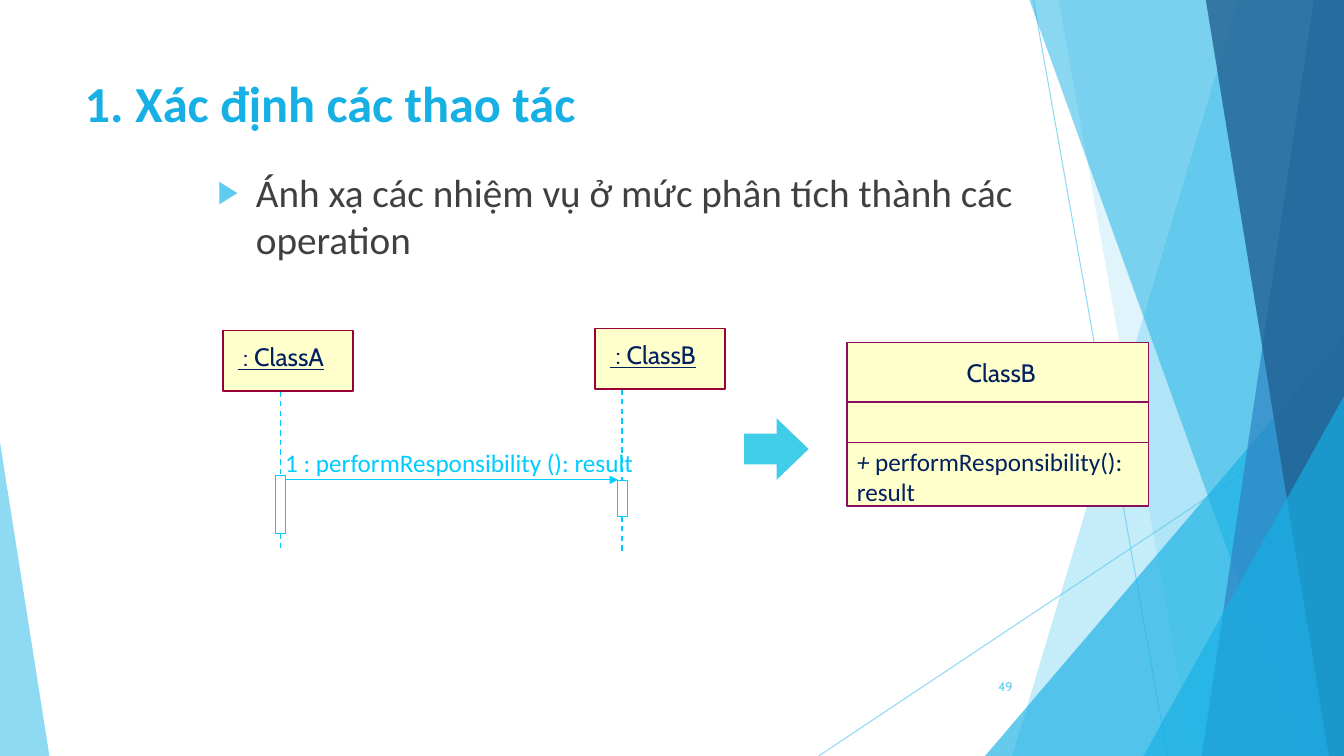
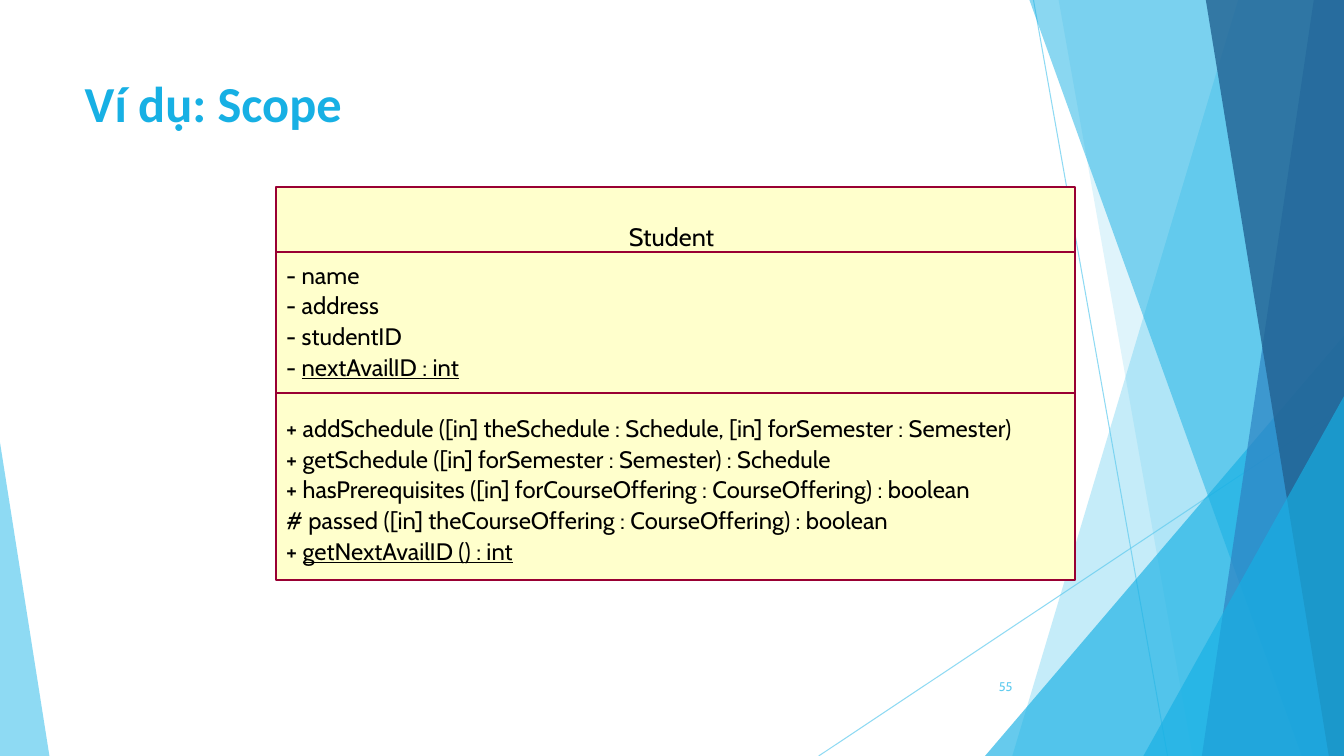
from dataclasses import dataclass, field

from lxml.etree import SubElement
from pptx import Presentation
from pptx.dml.color import RGBColor
from pptx.enum.dml import MSO_LINE
from pptx.enum.shapes import MSO_CONNECTOR, MSO_SHAPE
from pptx.enum.text import MSO_ANCHOR, MSO_AUTO_SIZE, PP_ALIGN
from pptx.oxml.ns import qn
from pptx.util import Inches, Pt

WIDE, HIGH = 13.33, 7.5
SKY, BLUE, CYAN = "5FCBEF", "17B0E4", "00CCFF"
CREAM, WINE, PLUM, NAVY = "FFFFCC", "990033", "8A0E5E", "002060"
HEAD = {"name": "Calibri", "size": Pt(36), "bold": True}
BODY = {"name": "Calibri", "size": Pt(28)}
NOTE = {"name": "Calibri", "size": Pt(18)}
NAME = {"name": "Cabin", "size": Pt(18)}
ITEM = {"name": "Cabin", "size": Pt(17)}
PAGE = {"name": "Cabin", "size": Pt(9)}
UNDER = {"underline": True}
PAD = (0.1, 0.05, 0.1, 0.05)


@dataclass
class Run:
    """A piece of text with its own format values."""
    text: str
    extra: dict = field(default_factory=dict)


@dataclass
class Band:
    """A backdrop area that reaches the right edge."""
    top: float
    base: float
    color: str
    alpha: int


@dataclass
class Wedge:
    """A backdrop triangle standing on the lower edge."""
    left: float
    top: float
    width: float
    tip: float
    color: str
    alpha: int


@dataclass
class Part:
    """One section of a class box."""
    high: float
    rows: list = field(default_factory=list)
    style: dict = field(default_factory=dict)
    form: dict = field(default_factory=dict)


@dataclass
class Life:
    """A sequence object with its lifeline and active bar."""
    name: str
    left: float
    top: float
    axis: float
    start: float
    stop: float
    end: float


BACK = [
    Band(12.28, 10.04, SKY, 36),
    Band(10.5, 11.83, SKY, 20),
    Wedge(9.77, 3.33, 3.56, 1, BLUE, 66),
    Band(10.21, 12.91, BLUE, 50),
    Band(13.03, 11.92, "2E83C3", 70),
    Band(11.96, 13.18, "226292", 80),
    Wedge(11.34, 3.93, 1.99, 1, BLUE, 66),
    Wedge(0, 4.39, 0.49, 0, SKY, 70),
]
RAYS = [(10.25, 0, 11.58, HIGH), (WIDE, 4.03, 8.12, HIGH)]
LIVES = [
    Life(" : ClassA", 2.21, 3.28, 2.78, 4.72, 5.29, 5.47),
    Life(" : ClassB", 5.9, 3.26, 6.17, 4.77, 5.12, 5.48),
]
TARGET = [
    Part(0.59, [[Run("ClassB")]], NAME,
         {"pad": (0.07, 0, 0, 0), "side": PP_ALIGN.CENTER, "hold": MSO_ANCHOR.MIDDLE}),
    Part(0.4),
    Part(0.63, [[Run("+ ", {"italic": True}), Run("performResponsibility(): result")]],
         NOTE, {"pad": (0.1, 0.04, 0.02, 0)}),
]
STUDENT = [
    Part(0.64, [[Run("Student")]], NAME,
         {"pad": (0, 0, 0.08, 0), "side": PP_ALIGN.CENTER, "hold": MSO_ANCHOR.BOTTOM}),
    Part(1.4, [
        [Run("- name")],
        [Run("- address")],
        [Run("- studentID")],
        [Run("- "), Run("nextAvailID : int", UNDER)],
    ], ITEM, {"pad": (0.1, 0.06, 0, 0), "pitch": 22}),
    Part(1.85, [
        [Run("+ addSchedule ([in] theSchedule : Schedule, [in] forSemester : Semester)")],
        [Run("+ getSchedule ([in] forSemester : Semester) : Schedule")],
        [Run("+ hasPrerequisites ([in] forCourseOffering : CourseOffering) : boolean")],
        [Run("# passed ([in] theCourseOffering : CourseOffering) : boolean")],
        [Run("+ "), Run("getNextAvailID () : int", UNDER)],
    ], ITEM, {"pad": (0.1, 0.18, 0, 0), "pitch": 22}),
]


def paint(fill, color: str) -> None:
    """Give a fill one solid colour."""
    fill.solid()
    fill.fore_color.rgb = RGBColor.from_string(color)


def fade(shape, alpha: int) -> None:
    """Make the colours of a shape partly see-through."""
    for tone in shape.element.xpath("./p:spPr//a:srgbClr"):
        SubElement(tone, qn("a:alpha")).set("val", str(alpha * 1000))


def dress(shape, fill: str = "", line: str = "", thick: float = 1) -> None:
    """Set the fill and outline of a shape."""
    shape.shadow.inherit = False
    if fill:
        paint(shape.fill, fill)
    else:
        shape.fill.background()
    if line:
        paint(shape.line.fill, line)
        shape.line.width = Pt(thick)
    else:
        shape.line.fill.background()


def draw(slide, kind, left: float, top: float, width: float, high: float, **look):
    """Add a preset shape."""
    shape = slide.shapes.add_shape(kind, *map(Inches, (left, top, width, high)))
    dress(shape, **look)
    return shape


def link(slide, ends: tuple, color: str, thick: float = 1, dash=None, tip: str = ""):
    """Add a straight line, with an arrowhead if named."""
    wire = slide.shapes.add_connector(MSO_CONNECTOR.STRAIGHT, *map(Inches, ends))
    paint(wire.line.fill, color)
    wire.line.width = Pt(thick)
    if dash:
        wire.line.dash_style = dash
    spot = wire.element.spPr
    if tip:
        SubElement(spot.find(qn("a:ln")), qn("a:tailEnd")).set("type", tip)
    SubElement(spot, qn("a:effectLst"))
    return wire


def mark(para, color: str) -> None:
    """Add a hanging triangle bullet."""
    props = para._p.get_or_add_pPr()
    props.set("marL", str(Inches(0.38)))
    props.set("indent", str(-Inches(0.38)))
    tone = SubElement(props, qn("a:buClr"))
    SubElement(tone, qn("a:srgbClr")).set("val", color)
    SubElement(props, qn("a:buSzPct")).set("val", "80000")
    SubElement(props, qn("a:buFont")).set("typeface", "Arial")
    SubElement(props, qn("a:buChar")).set("char", "▶")


def write(frame, rows: list, style: dict, color: str, pad: tuple = PAD,
          side=PP_ALIGN.LEFT, hold=MSO_ANCHOR.TOP, wrap: bool = True,
          pitch: float = 0, bullet: str = "") -> None:
    """Fill a text frame with formatted rows of runs."""
    sides = ("margin_left", "margin_top", "margin_right", "margin_bottom")
    form = dict(zip(sides, map(Inches, pad)))
    form |= {"vertical_anchor": hold, "auto_size": MSO_AUTO_SIZE.NONE, "word_wrap": wrap}
    for key, value in form.items():
        setattr(frame, key, value)
    for spot, row in enumerate(rows):
        para = frame.add_paragraph() if spot else frame.paragraphs[0]
        para.alignment = side
        if pitch:
            para.line_spacing = Pt(pitch)
        if bullet:
            mark(para, bullet)
        for piece in row:
            run = para.add_run()
            run.text = piece.text
            for key, value in (style | piece.extra).items():
                setattr(run.font, key, value)
            paint(run.font.fill, color)


def label(slide, text: str, area: tuple, style: dict, color: str, **form) -> None:
    """Add a text box with one line of text."""
    box = slide.shapes.add_textbox(*map(Inches, area))
    write(box.text_frame, [[Run(text)]], style, color, **form)


def stack(slide, parts: list, left: float, top: float, width: float,
          line: str, thick: float, color: str) -> None:
    """Draw a class box as parts one below the other."""
    for part in parts:
        box = draw(slide, MSO_SHAPE.RECTANGLE, left, top, width, part.high,
                   fill=CREAM, line=line, thick=thick)
        write(box.text_frame, part.rows, part.style, color, **part.form)
        top += part.high


def trace(slide, life: Life) -> None:
    """Draw a sequence object."""
    width, high = 1.29, 0.6
    for ends in ((life.top + high, life.start), (life.stop, life.end)):
        link(slide, (life.axis, ends[0], life.axis, ends[1]), CYAN, dash=MSO_LINE.DASH)
    box = draw(slide, MSO_SHAPE.RECTANGLE, life.left, life.top, width, high,
               fill=CREAM, line=WINE)
    write(box.text_frame, [[Run(life.name, UNDER)]], NAME, NAVY, pad=(0, 0, 0.14, 0.08),
          side=PP_ALIGN.CENTER, hold=MSO_ANCHOR.MIDDLE)
    draw(slide, MSO_SHAPE.RECTANGLE, life.axis - 0.05, life.start, 0.1,
         life.stop - life.start, line=CYAN, thick=0.75)


def shade(slide, item):
    """Draw one backdrop area."""
    if isinstance(item, Wedge):
        shape = draw(slide, MSO_SHAPE.ISOSCELES_TRIANGLE, item.left, item.top,
                     item.width, HIGH - item.top, fill=item.color)
        shape.adjustments[0] = item.tip
    else:
        spots = [(item.top, 0), (WIDE, 0), (WIDE, HIGH), (item.base, HIGH)]
        first, *rest = [(Inches(x), Inches(y)) for x, y in spots]
        outline = slide.shapes.build_freeform(*first)
        outline.add_line_segments(rest)
        shape = outline.convert_to_shape()
        dress(shape, fill=item.color)
    fade(shape, item.alpha)
    return shape


def adorn(slide) -> None:
    """Draw the backdrop and hand it to the shared layout."""
    rays = [link(slide, ends, SKY, 0.75) for ends in RAYS]
    for ray in rays:
        fade(ray, 70)
    shapes = rays + [shade(slide, item) for item in BACK]
    tree = slide.slide_layout.shapes.element
    for spot, shape in enumerate(shapes, 100):
        shape.element.xpath(".//p:cNvPr")[0].set("id", str(spot))
        tree.append(shape.element)


def start(deck, title: str, page: str):
    """Add a slide with its title and page number."""
    slide = deck.slides.add_slide(deck.slide_layouts[5])
    head = slide.shapes.title
    area = {"left": 0.74, "top": 0.67, "width": 9.4, "height": 1.44}
    for key, value in area.items():
        setattr(head, key, Inches(value))
    write(head.text_frame, [[Run(title)]], HEAD, BLUE)
    label(slide, page, (9.39, 6.61, 0.75, 0.4), PAGE, SKY,
          side=PP_ALIGN.RIGHT, hold=MSO_ANCHOR.MIDDLE)
    return slide


def main() -> None:
    """Build and save the deck."""
    deck = Presentation()
    deck.slide_width, deck.slide_height = Inches(WIDE), Inches(HIGH)

    slide = start(deck, "1. Xác định các thao tác", "49")
    adorn(slide)
    label(slide, "Ánh xạ các nhiệm vụ ở mức phân tích thành các operation",
          (2.06, 1.62, 9.28, 1.2), BODY, "404040", bullet=SKY)
    for life in LIVES:
        trace(slide, life)
    link(slide, (2.83, 4.76, 6.13, 4.76), CYAN, tip="triangle")
    label(slide, "1 : performResponsibility (): result", (2.73, 4.39, 3.7, 0.4),
          NOTE, CYAN, wrap=False)
    arrow = draw(slide, MSO_SHAPE.RIGHT_ARROW, 7.38, 4.15, 0.64, 0.61, fill="3FCDE7")
    arrow.adjustments[0], arrow.adjustments[1] = 0.5, 0.52
    stack(slide, TARGET, 8.4, 3.4, 2.99, PLUM, 1, NAVY)

    slide = start(deck, "Ví dụ: Scope", "55")
    stack(slide, STUDENT, 2.74, 1.86, 7.92, WINE, 1.5, "000000")
    deck.save("out.pptx")


if __name__ == "__main__":
    main()
